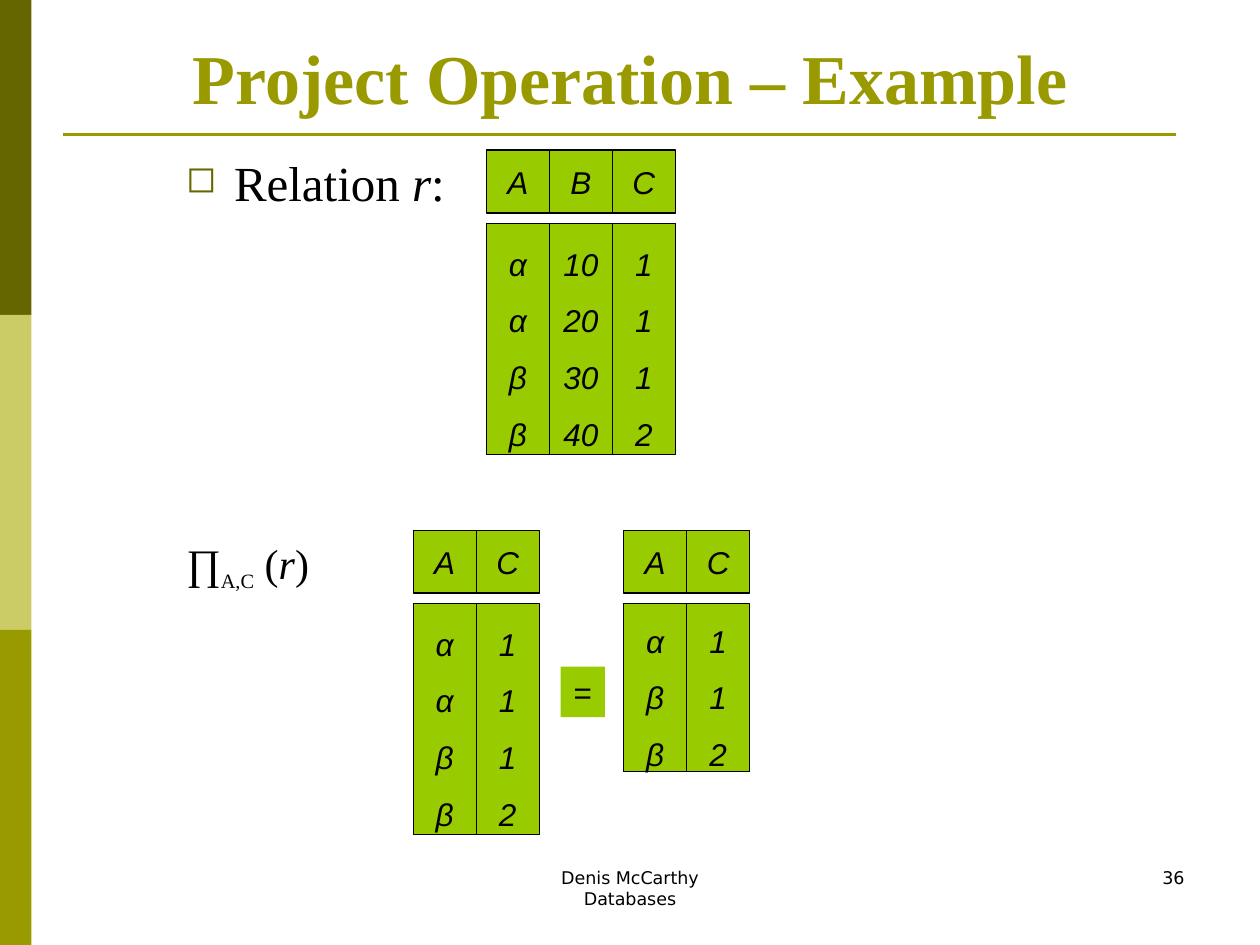
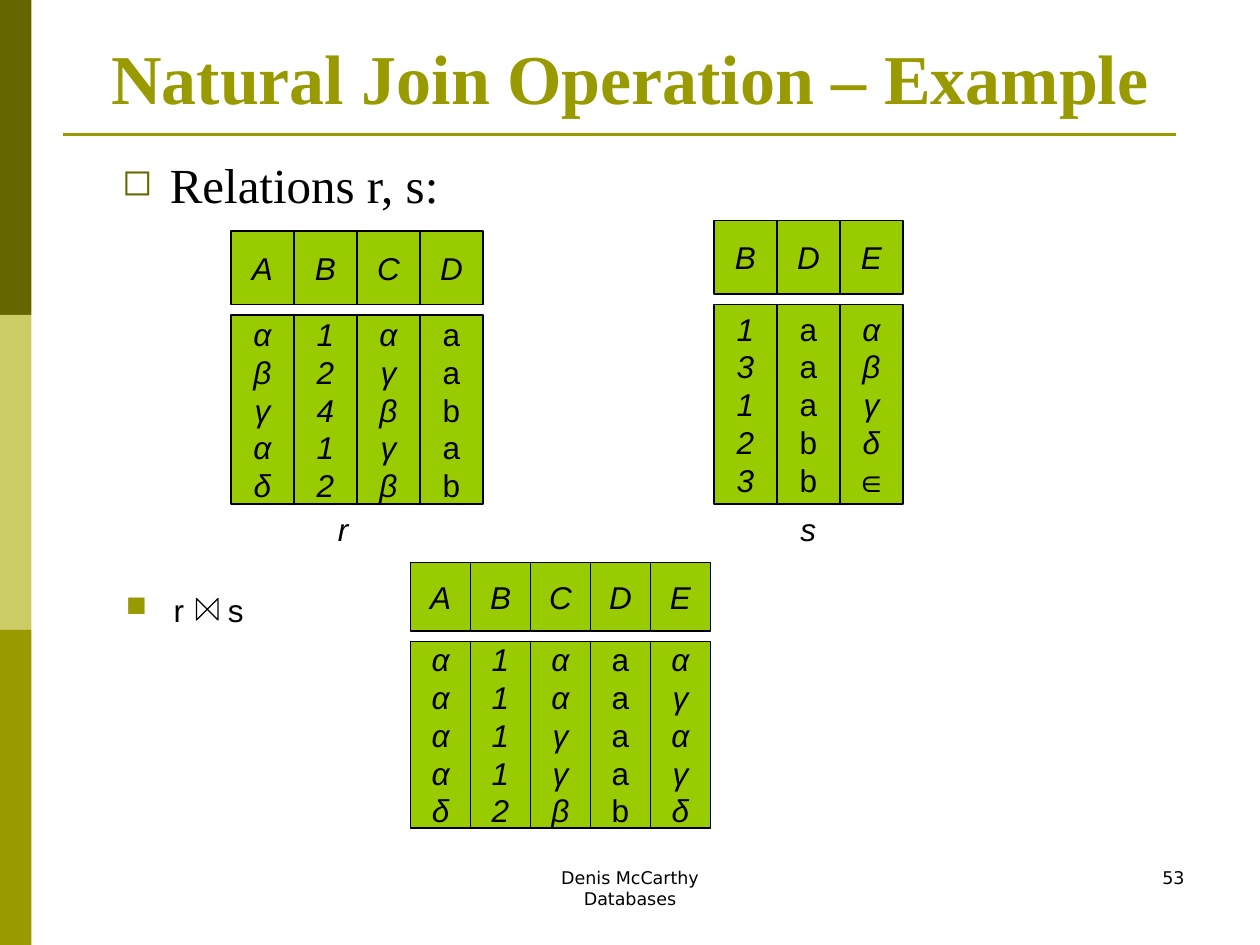
from lxml import etree
from pptx import Presentation
from pptx.dml.color import RGBColor
from pptx.enum.shapes import MSO_CONNECTOR, MSO_SHAPE
from pptx.enum.text import MSO_ANCHOR, MSO_AUTO_SIZE, PP_ALIGN
from pptx.oxml.ns import qn
from pptx.util import Inches, Pt

RECT, BOWTIE = MSO_SHAPE.RECTANGLE, MSO_SHAPE.FLOWCHART_COLLATE
STRAIGHT = MSO_CONNECTOR.STRAIGHT
LEFT, CENTER, RIGHT = PP_ALIGN.LEFT, PP_ALIGN.CENTER, PP_ALIGN.RIGHT
TOP, MIDDLE, BOTTOM = MSO_ANCHOR.TOP, MSO_ANCHOR.MIDDLE, MSO_ANCHOR.BOTTOM
NO_AUTOFIT = MSO_AUTO_SIZE.NONE

# Shared style: a grid of 120 columns by 90 rows
COLUMNS, ROWS = 120, 90
DARK, PALE, OLIVE = "666600", "CCCC66", "999900"
GREEN, BLACK = "99CC00", "000000"
SERIF, SANS, SMALL = "Times New Roman", "Arial", "DejaVu Sans"


def color(value):
    return RGBColor.from_string(value)


def write(frame, paragraphs, align=LEFT, anchor=TOP, wrap=True, spacing=None, **font):
    """Fill a frame; a paragraph is a string or a list of (text, format) runs."""
    frame.auto_size = NO_AUTOFIT
    frame.word_wrap = wrap
    frame.vertical_anchor = anchor
    for index, content in enumerate(paragraphs):
        paragraph = frame.add_paragraph() if index else frame.paragraphs[0]
        paragraph.alignment = align
        if spacing:
            paragraph.line_spacing = spacing
        for text, changes in [(content, {})] if isinstance(content, str) else content:
            look = {"name": SANS, "size": 18, "color": BLACK, **font, **changes}
            run = paragraph.add_run()
            run.text = text
            run.font.name = look["name"]
            run.font.size = Pt(look["size"])
            run.font.color.rgb = color(look["color"])
            run.font.bold = look.get("bold", False)
            run.font.italic = look.get("italic", False)
            for attribute in ("baseline", "spc"):
                if attribute in look:
                    run.font._element.set(attribute, str(look[attribute]))


def add_bullet(paragraph, mark, mark_color, percent):
    properties = paragraph._p.get_or_add_pPr()
    indent = Inches(0.38)
    properties.set("marL", str(indent))
    properties.set("indent", str(-indent))
    tint = etree.SubElement(properties, qn("a:buClr"))
    etree.SubElement(tint, qn("a:srgbClr"), val=mark_color)
    etree.SubElement(properties, qn("a:buSzPct"), val=str(percent * 1000))
    etree.SubElement(properties, qn("a:buChar"), char=mark)


class Deck:
    def __init__(self):
        self.show = Presentation()
        self.show.slide_width, self.show.slide_height = Inches(10), Inches(7.5)
        self.slide = None

    def place(self, x, y, width, height):
        column, row = self.show.slide_width / COLUMNS, self.show.slide_height / ROWS
        return [round(n) for n in (x * column, y * row, width * column, height * row)]

    def start(self, title, number):
        """Add a slide with its side bands, rule, title and footer."""
        self.slide = self.show.slides.add_slide(self.show.slide_layouts[5])
        for index, band in enumerate((DARK, PALE, OLIVE)):
            self.shape(0, index * ROWS / 3, 3, ROWS / 3, fill=band)
        self.rule(6, 12.84, 112)
        heading = self.slide.shapes.title
        heading.left, heading.top, heading.width, heading.height = self.place(6, 3.6, 108, 8.28)
        write(heading.text_frame, [title], align=CENTER, anchor=BOTTOM,
              name=SERIF, size=40, color=OLIVE, bold=True)
        self.text(41, 82, 38, 6, ["Denis McCarthy", "Databases"],
                  align=CENTER, name=SMALL, size=10)
        self.text(86, 82, 28, 6, [str(number)], align=RIGHT, name=SMALL, size=10)

    def rule(self, x, y, end):
        left, top, right, _ = self.place(x, y, end, 0)
        line = self.slide.shapes.add_connector(STRAIGHT, left, top, right, top)
        line.line.color.rgb = color(OLIVE)
        line.line.width = Pt(1.5)
        etree.SubElement(line._element.spPr, qn("a:effectLst"))

    def shape(self, x, y, width, height, kind=RECT, fill=None, line=None):
        shape = self.slide.shapes.add_shape(kind, *self.place(x, y, width, height))
        shape.shadow.inherit = False
        if fill:
            shape.fill.solid()
            shape.fill.fore_color.rgb = color(fill)
        else:
            shape.fill.background()
        if line:
            shape.line.color.rgb = color(line)
            shape.line.width = Pt(0.75)
        else:
            shape.line.fill.background()
        return shape

    def text(self, x, y, width, height, paragraphs, **style):
        box = self.slide.shapes.add_textbox(*self.place(x, y, width, height))
        write(box.text_frame, paragraphs, **style)
        return box.text_frame

    def bullet(self, x, y, width, height, runs, mark="◻", tint=DARK, percent=75, **style):
        frame = self.text(x, y, width, height, [runs], **style)
        add_bullet(frame.paragraphs[0], mark, tint, percent)

    def cell(self, x, y, width, height, values, line=BLACK, **style):
        box = self.shape(x, y, width, height, fill=GREEN, line=line)
        write(box.text_frame, values, align=CENTER, anchor=MIDDLE, wrap=False, **style)

    def relation(self, x, y, head, body, attributes, width=6, spacing=None):
        """Draw each attribute as a header cell over a column of values."""
        for index, (name, values) in enumerate(attributes):
            left = x + index * width
            self.cell(left, y, width, head, [name], italic=True)
            self.cell(left, y + head + 1, width, body, values.split(), spacing=spacing,
                      italic=values[0] not in "ab")

    def caption(self, x, y, width, name):
        self.text(x, y, width, 4.8, [name], align=CENTER, anchor=MIDDLE,
                  wrap=False, italic=True)


def project_operation(deck):
    deck.start("Project Operation – Example", 36)
    italic = {"italic": True}

    # Source relation
    deck.bullet(16.56, 13.92, 90, 5.52, [("Relation", {}), (" r", italic), (":", {})],
                name=SERIF, size=28)
    deck.relation(46.32, 14.3, 6, 22, [("A", "α α β β"), ("B", "10 20 30 40"),
                                       ("C", "1 1 1 2")], spacing=1.5)

    # Projection before and after duplicates are dropped
    deck.text(16.56, 50.64, 92.28, 5.4,
              [[("∏", {}), ("A,C", {"size": 20, "baseline": -25000}),
                (" (", {}), ("r", italic), (")", {})]], name=SERIF, size=24)
    deck.relation(39.36, 50.5, 6, 22, [("A", "α α β β"), ("C", "1 1 1 2")], spacing=1.5)
    deck.cell(53.4, 63.5, 4.2, 4.8, ["="], line=None)
    deck.relation(59.4, 50.5, 6, 16, [("A", "α β β"), ("C", "1 1 2")], spacing=1.5)


def natural_join(deck):
    deck.start("Natural Join Operation – Example", 53)

    # Source relations
    deck.bullet(10.44, 14.16, 89.76, 5.04, "Relations r, s:", name=SERIF, size=28)
    deck.relation(22, 22, 7, 18, [("A", "α β γ α δ"), ("B", "1 2 4 1 2"),
                                  ("C", "α γ β γ β"), ("D", "a a b a b")])
    deck.relation(68, 21, 7, 19, [("B", "1 3 1 2 3"), ("D", "a a a b b"),
                                  ("E", "α β γ δ ∈")])
    deck.caption(31, 48, 3.36, "r")
    deck.caption(75, 48, 3.96, "s")

    # Join of r and s
    deck.relation(39.1, 53.6, 6.5, 17.75,
                  [("A", "α α α α δ"), ("B", "1 1 1 1 2"), ("C", "α α γ γ β"),
                   ("D", "a a a a b"), ("E", "α γ α γ δ")], width=5.71)
    deck.bullet(10.8, 55.68, 92.28, 5.4, [("r", {}), (" ", {"spc": 2000}), ("s", {})],
                mark="■", tint=OLIVE, percent=90)
    join_sign = deck.shape(18.72, 57, 2.04, 2.04, kind=BOWTIE, line=BLACK)
    join_sign.rotation = 270


def main():
    deck = Deck()
    project_operation(deck)
    natural_join(deck)
    deck.show.save("out.pptx")


if __name__ == "__main__":
    main()
